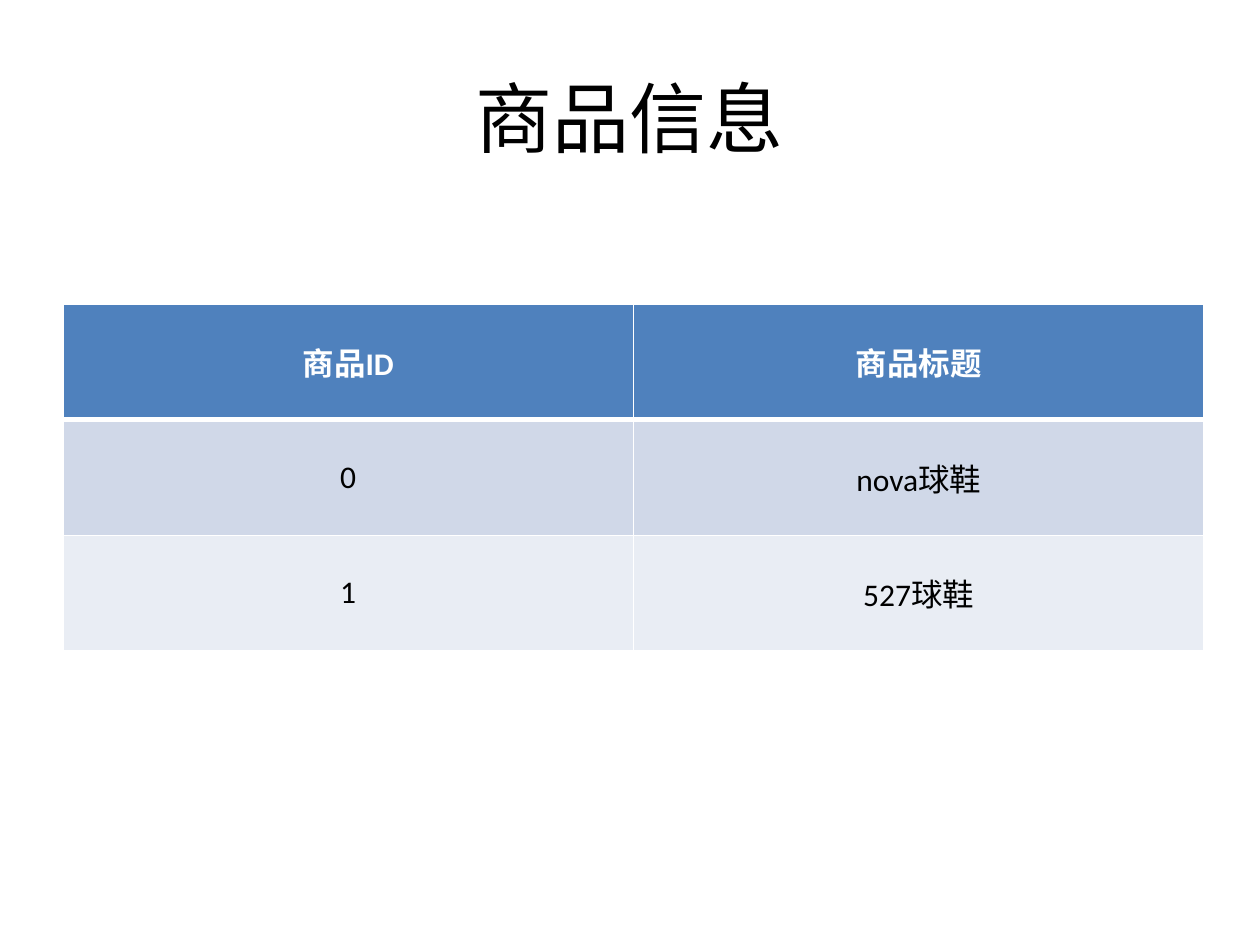
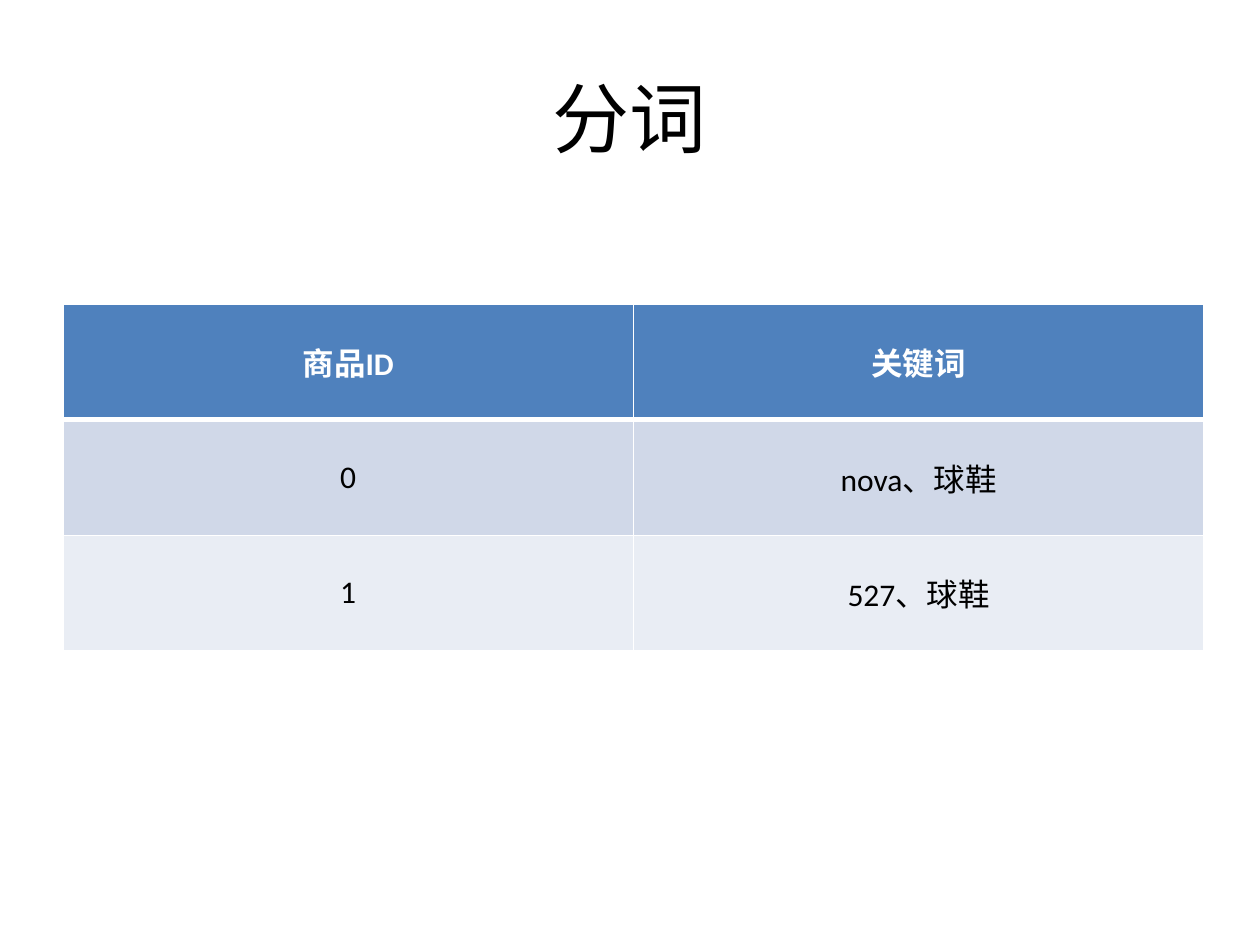
"""Build two slides that show product titles and their keywords as tables."""
import pptx
import pptx.dml.color
import pptx.enum.text
import pptx.oxml
import pptx.oxml.ns
import pptx.util
from pptx.util import Cm, Pt

SLIDES = [
    ("商品信息", [("商品ID", "商品标题"), ("0", "nova球鞋"), ("1", "527球鞋")]),
    ("分词", [("商品ID", "关键词"), ("0", "nova、球鞋"), ("1", "527、球鞋")]),
]
COLORS = {
    "header": "4F81BD",
    "odd_row": "D0D8E8",
    "even_row": "E9EDF4",
    "white": "FFFFFF",
    "black": "000000",
}
FONT = "Calibri"
TITLE_BOX = (Cm(1.27), Cm(0.76), Cm(22.86), Cm(3.18))
TABLE_LEFT, TABLE_TOP = Cm(1.27), Cm(6.13)
COLUMN_WIDTH, ROW_HEIGHT = Cm(11.5), Cm(2.33)
THIN, THICK = Pt(1), Pt(3)


def rgb(name):
    return pptx.dml.color.RGBColor.from_string(COLORS[name])


def format_text(text_frame, size, color, bold=False):
    text_frame.vertical_anchor = pptx.enum.text.MSO_ANCHOR.MIDDLE
    for paragraph in text_frame.paragraphs:
        paragraph.alignment = pptx.enum.text.PP_ALIGN.CENTER
        for run in paragraph.runs:
            run.font.name = FONT
            run.font.size = Pt(size)
            run.font.bold = bold
            run.font.color.rgb = rgb(color)


def add_borders(cell, top, bottom):
    properties = cell._tc.get_or_add_tcPr()
    for side, width in (("L", THIN), ("R", THIN), ("T", top), ("B", bottom)):
        properties.append(pptx.oxml.parse_xml(
            f'<a:ln{side} {pptx.oxml.ns.nsdecls("a")} w="{int(width)}">'
            f'<a:solidFill><a:srgbClr val="{COLORS["white"]}"/></a:solidFill>'
            f'</a:ln{side}>'))


def format_cell(cell, text, row_index):
    is_header = row_index == 0
    cell.text_frame.text = text
    format_text(cell.text_frame, 18, "white" if is_header else "black", is_header)
    cell.vertical_anchor = pptx.enum.text.MSO_ANCHOR.MIDDLE
    add_borders(cell, THICK if row_index == 1 else THIN, THICK if is_header else THIN)
    cell.fill.solid()
    band = "odd_row" if row_index % 2 else "even_row"
    cell.fill.fore_color.rgb = rgb("header" if is_header else band)


def add_title(slide, text):
    title = slide.shapes.title
    title.left, title.top, title.width, title.height = TITLE_BOX
    title.text_frame.text = text
    format_text(title.text_frame, 44, "black")


def add_product_table(slide, rows):
    row_count, column_count = len(rows), len(rows[0])
    table = slide.shapes.add_table(
        row_count, column_count, TABLE_LEFT, TABLE_TOP,
        COLUMN_WIDTH * column_count, ROW_HEIGHT * row_count).table
    for column in table.columns:
        column.width = COLUMN_WIDTH
    for row_index, texts in enumerate(rows):
        table.rows[row_index].height = ROW_HEIGHT
        for column_index, text in enumerate(texts):
            format_cell(table.cell(row_index, column_index), text, row_index)


def main():
    presentation = pptx.Presentation()
    presentation.slide_width, presentation.slide_height = Cm(25.4), Cm(19.05)
    title_only = presentation.slide_layouts.get_by_name("Title Only")
    for title, rows in SLIDES:
        slide = presentation.slides.add_slide(title_only)
        add_title(slide, title)
        add_product_table(slide, rows)
    presentation.save("out.pptx")


if __name__ == "__main__":
    main()
